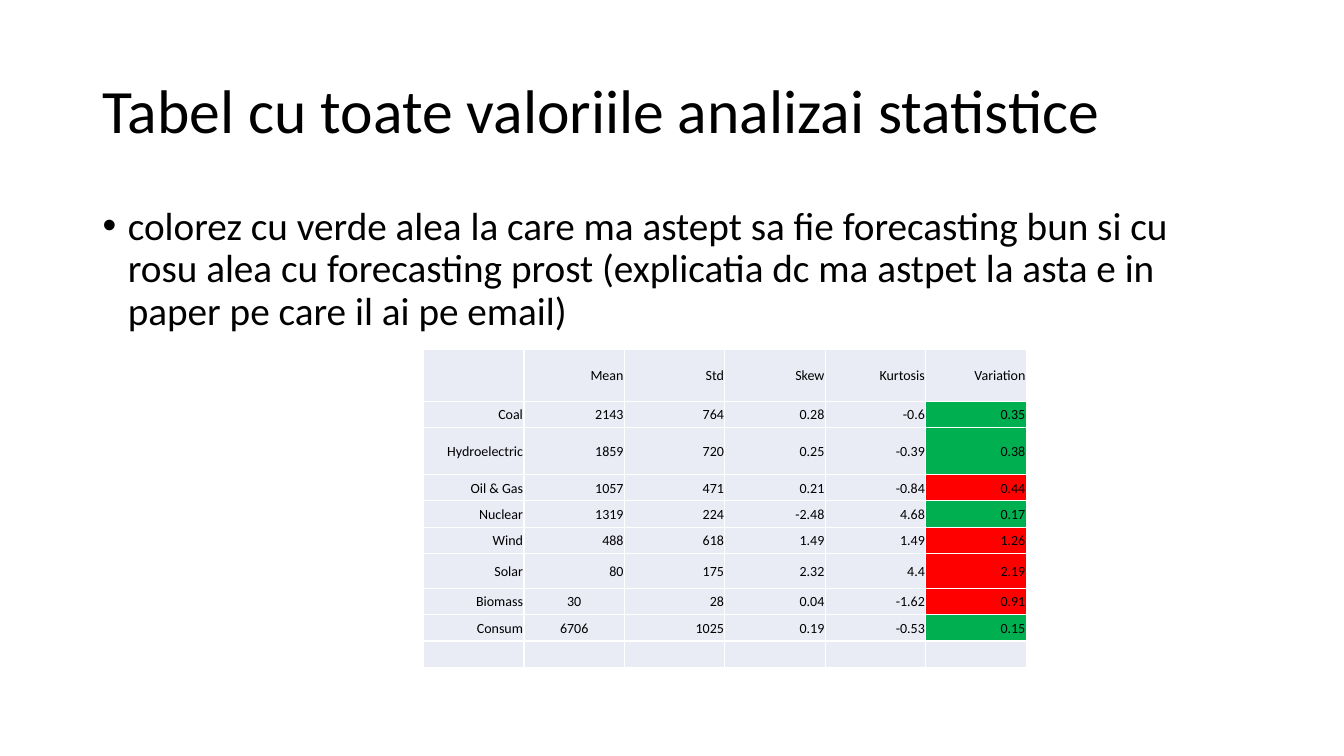
from lxml.etree import SubElement
from pptx import Presentation
from pptx.dml.color import RGBColor
from pptx.enum.text import MSO_ANCHOR as Anchor, PP_ALIGN as Align
from pptx.oxml.ns import qn
from pptx.util import Pt

PX = 9144
FONT = "Calibri"
BLACK = RGBColor(0x00, 0x00, 0x00)
WHITE = RGBColor(0xFF, 0xFF, 0xFF)
PALE = RGBColor(0xE9, 0xEB, 0xF5)
GREEN = RGBColor(0x00, 0xB0, 0x50)
RED = RGBColor(0xFF, 0x00, 0x00)

TITLE = "Tabel cu toate valoriile analizai statistice"
NOTE = (
    "colorez cu verde alea la care ma astept sa fie forecasting bun si cu rosu "
    "alea cu forecasting prost (explicatia dc ma astpet la asta e in paper pe "
    "care il ai pe email)"
)
STATISTICS = [
    ("", "Mean", "Std", "Skew", "Kurtosis", "Variation"),
    ("Coal", "2143", "764", "0.28", "-0.6", "0.35"),
    ("Hydroelectric", "1859", "720", "0.25", "-0.39", "0.38"),
    ("Oil & Gas", "1057", "471", "0.21", "-0.84", "0.44"),
    ("Nuclear", "1319", "224", "-2.48", "4.68", "0.17"),
    ("Wind", "488", "618", "1.49", "1.49", "1.26"),
    ("Solar", "80", "175", "2.32", "4.4", "2.19"),
    ("Biomass", "30", "28", "0.04", "-1.62", "0.91"),
    ("Consum", "6706", "1025", "0.19", "-0.53", "0.15"),
    ("",) * 6,
]
ROW_HEIGHTS = [51, 26, 47, 26, 26, 26, 35, 26, 26, 26]
GOOD_FORECASTS = {"Coal", "Hydroelectric", "Nuclear", "Consum"}
CENTRED_MEANS = {"30", "6706"}


def style_text(para, size):
    for span in para.runs:
        span.font.name = FONT
        span.font.size = Pt(size)
        span.font.color.rgb = BLACK


def add_text(page, box, text, size, anchor):
    frame = page.shapes.add_textbox(*(PX * length for length in box)).text_frame
    frame.word_wrap = True
    frame.vertical_anchor = anchor
    para = frame.paragraphs[0]
    para.text = text
    para.line_spacing = 0.9
    style_text(para, size)
    return para


def add_title(page, box):
    add_text(page, box, TITLE, 44, Anchor.MIDDLE)


def add_note(page, box):
    para = add_text(page, box, NOTE, 28, Anchor.TOP)
    para.space_before = Pt(10)
    properties = para._p.get_or_add_pPr()
    properties.set("marL", str(25 * PX))
    properties.set("indent", str(-25 * PX))
    SubElement(properties, qn("a:buFont"), typeface="Arial")
    SubElement(properties, qn("a:buChar"), char="•")


def add_borders(cell):
    properties = cell._tc.get_or_add_tcPr()
    for side in ("lnL", "lnR", "lnT", "lnB"):
        line = SubElement(properties, qn(f"a:{side}"), w=str(Pt(1)))
        fill = SubElement(line, qn("a:solidFill"))
        SubElement(fill, qn("a:srgbClr"), val=str(WHITE))


def fill_cell(cell, text, color, align):
    add_borders(cell)
    cell.fill.solid()
    cell.fill.fore_color.rgb = color
    cell.vertical_anchor = Anchor.MIDDLE
    cell.margin_left = cell.margin_right = cell.margin_top = PX
    cell.margin_bottom = 0
    para = cell.text_frame.paragraphs[0]
    para.text = text
    para.alignment = align
    style_text(para, 10)
    if not text:
        SubElement(para._p, qn("a:endParaRPr"), sz="1000")


def add_statistics(page, box):
    left, top, width, height = (PX * length for length in box)
    column_count = len(STATISTICS[0])
    table = page.shapes.add_table(
        len(STATISTICS), column_count, left, top, width, height
    ).table
    table.first_row = table.horz_banding = False
    for column in table.columns:
        column.width = width // column_count
    for row, row_height, values in zip(table.rows, ROW_HEIGHTS, STATISTICS):
        row.height = row_height * PX
        source = values[0]
        for index, (cell, text) in enumerate(zip(row.cells, values)):
            color = PALE
            if source and index == column_count - 1:
                color = GREEN if source in GOOD_FORECASTS else RED
            centred = index == 1 and text in CENTRED_MEANS
            fill_cell(cell, text, color, Align.CENTER if centred else Align.RIGHT)


def add_statistics_slide(deck):
    page = deck.slides.add_slide(deck.slide_layouts[6])
    add_title(page, (92, 40, 1150, 145))
    add_note(page, (92, 200, 1150, 476))
    add_statistics(page, (420, 347, 598, sum(ROW_HEIGHTS)))


def main():
    deck = Presentation()
    deck.slide_width = 1333 * PX
    deck.slide_height = 750 * PX
    add_statistics_slide(deck)
    deck.save("out.pptx")


if __name__ == "__main__":
    main()
